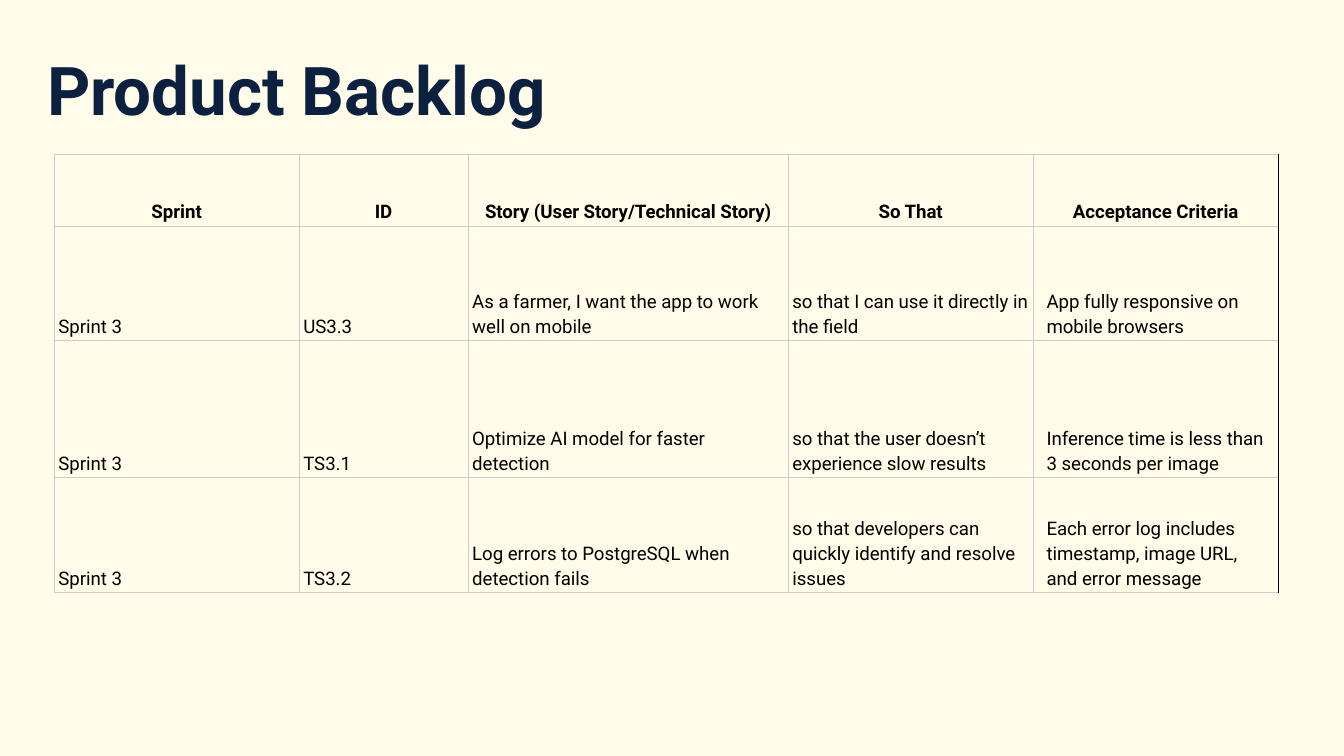
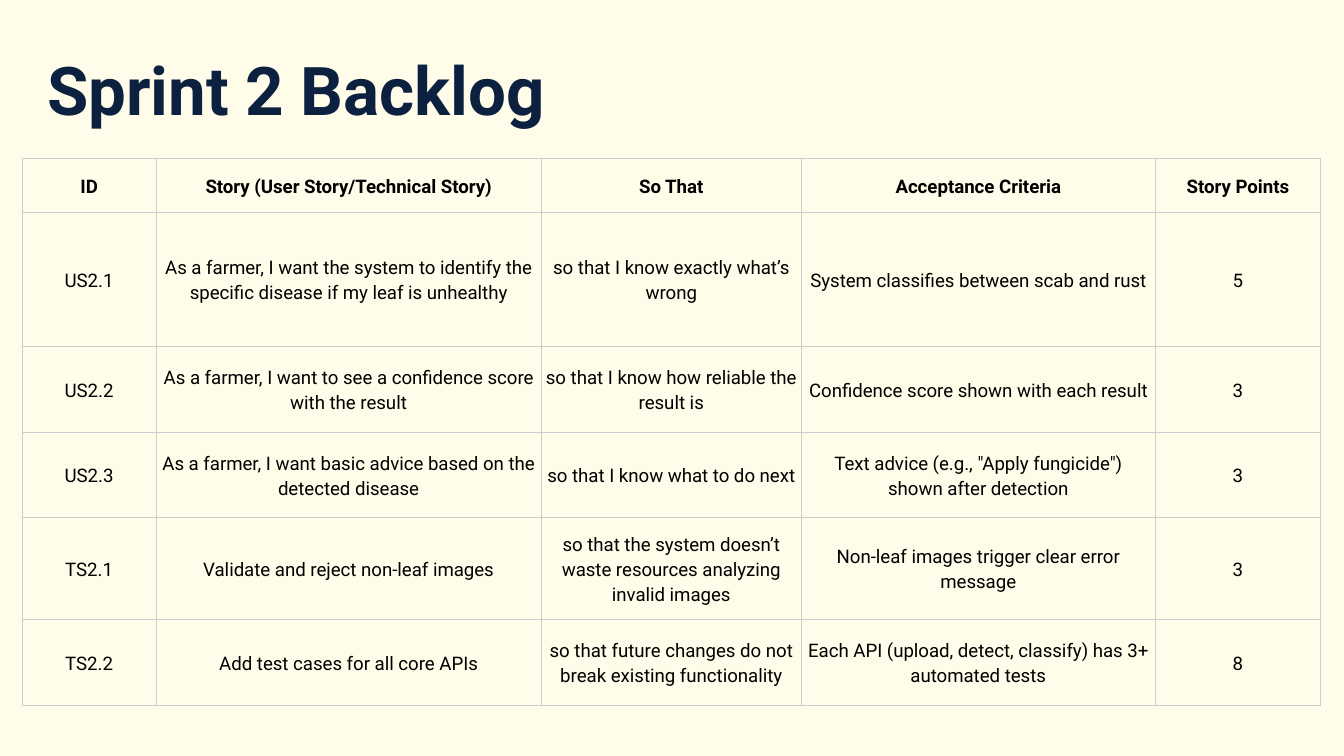
from lxml import etree
from pptx import Presentation
from pptx.dml.color import RGBColor
from pptx.enum.text import MSO_ANCHOR, MSO_AUTO_SIZE, PP_ALIGN
from pptx.oxml.ns import qn
from pptx.util import Pt

CREAM = RGBColor(0xFF, 0xFC, 0xE9)
NAVY = RGBColor(0x0B, 0x21, 0x3F)
BLACK = RGBColor(0x00, 0x00, 0x00)
GRID = RGBColor(0xCC, 0xCC, 0xCC)
FONT = "Roboto"
TOP, MIDDLE, BOTTOM = MSO_ANCHOR.TOP, MSO_ANCHOR.MIDDLE, MSO_ANCHOR.BOTTOM
LEFT, CENTER = PP_ALIGN.LEFT, PP_ALIGN.CENTER
NO_AUTOFIT = MSO_AUTO_SIZE.NONE
TITLE_ONLY = 5
SIDES = ("lnL", "lnR", "lnT", "lnB")
NARROW_INSET, WIDE_INSET = 2.25, 7.2


def write(frame, text, *, size, color=BLACK, bold=False, align=LEFT, spacing=None):
    paragraph = frame.paragraphs[0]
    paragraph.alignment = align
    paragraph.line_spacing = spacing
    run = paragraph.add_run()
    run.text = text
    run.font.name = FONT
    run.font.size = Pt(size)
    run.font.bold = bold
    run.font.color.rgb = color


class Deck:
    def __init__(self):
        self.presentation = Presentation()
        self.presentation.slide_width = Pt(720)
        self.presentation.slide_height = Pt(405)
        self.slide = None

    def add_slide(self, heading, heading_width):
        layout = self.presentation.slide_layouts[TITLE_ONLY]
        self.slide = self.presentation.slides.add_slide(layout)
        background = self.slide.background.fill
        background.solid()
        background.fore_color.rgb = CREAM
        self.title(heading, heading_width)

    def title(self, heading, width):
        title = self.slide.shapes.title
        title.left, title.top = Pt(18), Pt(18.7)
        title.width, title.height = Pt(width), Pt(34.5)
        frame = title.text_frame
        frame.auto_size = NO_AUTOFIT
        frame.word_wrap = True
        frame.vertical_anchor = TOP
        frame.margin_left = frame.margin_right = Pt(7.2)
        frame.margin_top = frame.margin_bottom = Pt(7.2)
        write(frame, heading, size=36, color=NAVY, bold=True)

    def borders(self, cell, right):
        properties = cell._tc.get_or_add_tcPr()
        for position, side in enumerate(SIDES):
            color = right if side == "lnR" else GRID
            line = etree.Element(qn(f"a:{side}"), w=str(Pt(0.42)))
            fill = etree.SubElement(line, qn("a:solidFill"))
            etree.SubElement(fill, qn("a:srgbClr"), val=str(color))
            properties.insert(position, line)

    def table(self, stories, left, top, widths, heights, *, anchor, align,
              last_inset=NARROW_INSET, right_edge=GRID):
        table = self.slide.shapes.add_table(
            len(heights), len(widths), Pt(left), Pt(top),
            Pt(sum(widths)), Pt(sum(heights))).table
        table.first_row = table.horz_banding = False
        for column, width in zip(table.columns, widths):
            column.width = Pt(width)
        for row, height in zip(table.rows, heights):
            row.height = Pt(height)
        for row_index, story in enumerate(stories):
            header = row_index == 0
            for column_index, text in enumerate(story):
                last = column_index == len(widths) - 1
                cell = table.cell(row_index, column_index)
                cell.fill.background()
                cell.vertical_anchor = anchor
                inset = last_inset if last else NARROW_INSET
                cell.margin_left = cell.margin_right = Pt(inset)
                cell.margin_top = cell.margin_bottom = Pt(1.5)
                write(cell.text_frame, text, size=10, bold=header,
                      align=CENTER if header else align, spacing=1.15)
                self.borders(cell, right_edge if last else GRID)


STORY_HEADERS = ("ID", "Story (User Story/Technical Story)", "So That",
                 "Acceptance Criteria")

PRODUCT_STORIES = [
    ("Sprint", *STORY_HEADERS),
    ("Sprint 3", "US3.3", "As a farmer, I want the app to work well on mobile",
     "so that I can use it directly in the field",
     "App fully responsive on mobile browsers"),
    ("Sprint 3", "TS3.1", "Optimize AI model for faster detection",
     "so that the user doesn’t experience slow results",
     "Inference time is less than 3 seconds per image"),
    ("Sprint 3", "TS3.2", "Log errors to PostgreSQL when detection fails",
     "so that developers can quickly identify and resolve issues",
     "Each error log includes timestamp, image URL, and error message"),
]

SPRINT_STORIES = [
    (*STORY_HEADERS, "Story Points"),
    ("US2.1",
     "As a farmer, I want the system to identify the specific disease if my leaf is unhealthy",
     "so that I know exactly what’s wrong",
     "System classifies between scab and rust", "5"),
    ("US2.2", "As a farmer, I want to see a confidence score with the result",
     "so that I know how reliable the result is",
     "Confidence score shown with each result", "3"),
    ("US2.3", "As a farmer, I want basic advice based on the detected disease",
     "so that I know what to do next",
     'Text advice (e.g., "Apply fungicide") shown after detection', "3"),
    ("TS2.1", "Validate and reject non-leaf images",
     "so that the system doesn’t waste resources analyzing invalid images",
     "Non-leaf images trigger clear error message", "3"),
    ("TS2.2", "Add test cases for all core APIs",
     "so that future changes do not break existing functionality",
     "Each API (upload, detect, classify) has 3+ automated tests", "8"),
]


def main():
    deck = Deck()

    deck.add_slide("Product Backlog", 347)
    deck.table(PRODUCT_STORIES, 29, 82.75,
               [131.25, 90.5, 171.5, 131.25, 131.25],
               [38.25, 61.5, 73.5, 61.5],
               anchor=BOTTOM, align=LEFT,
               last_inset=WIDE_INSET, right_edge=BLACK)

    deck.add_slide("Sprint 2 Backlog", 659.5)
    deck.table(SPRINT_STORIES, 12, 85,
               [71.5, 206.5, 139.25, 189.75, 88.5],
               [28.5, 72.25, 45.75, 45.75, 54.75, 46],
               anchor=MIDDLE, align=CENTER)

    deck.presentation.save("out.pptx")


if __name__ == "__main__":
    main()
